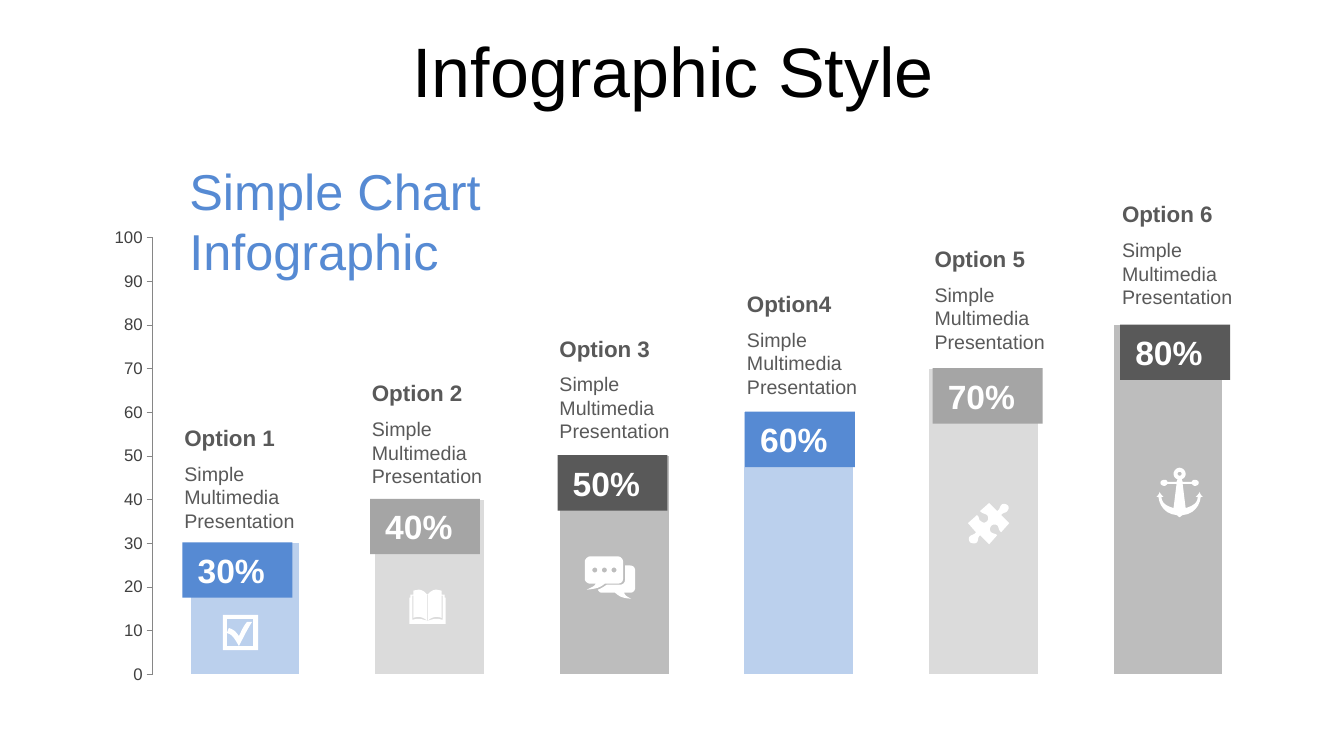
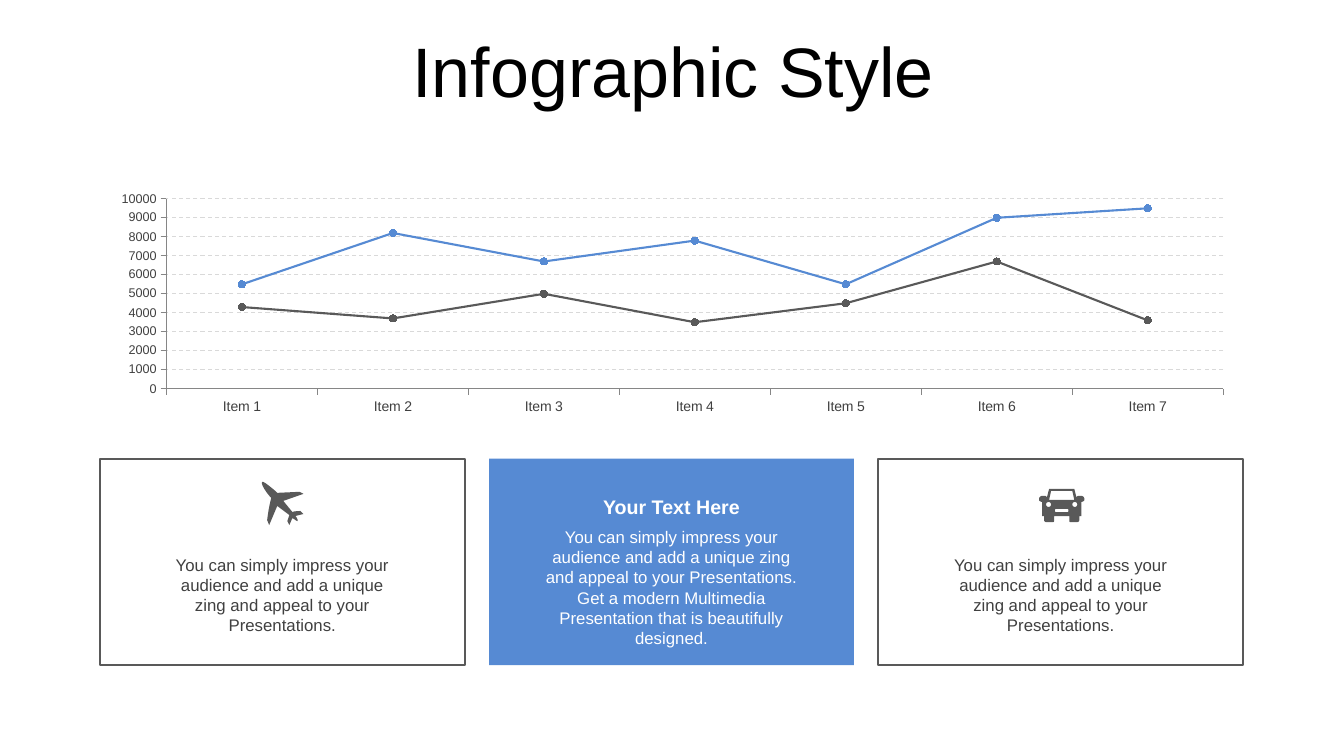
import math

import pptx
import pptx.chart.data
import pptx.dml.color
import pptx.enum.chart
import pptx.enum.dml
import pptx.enum.shapes
import pptx.enum.text
import pptx.util
from lxml import etree

RGB = pptx.dml.color.RGBColor
Inches, Pt = pptx.util.Inches, pptx.util.Pt
ALIGN = pptx.enum.text.PP_ALIGN
ANCHOR = pptx.enum.text.MSO_ANCHOR
CHART = pptx.enum.chart.XL_CHART_TYPE
TICK = pptx.enum.chart.XL_TICK_MARK

FONT = "Arial"
BLACK, WHITE = RGB(0, 0, 0), RGB(255, 255, 255)
BLUE, GREY, DARK = RGB(0x56, 0x8A, 0xD3), RGB(0xA5, 0xA5, 0xA5), RGB(0x59, 0x59, 0x59)
PALE_BLUE, PALE_GREY, MID_GREY = RGB(0xBB, 0xD0, 0xED), RGB(0xDB, 0xDB, 0xDB), RGB(0xBD, 0xBD, 0xBD)
INK, AXIS, GRID = RGB(0x40, 0x40, 0x40), RGB(0x86, 0x86, 0x86), RGB(0xD9, 0xD9, 0xD9)

TITLE = "Infographic Style"
SUBTITLE = ["Simple Chart", "Infographic"]
OPTIONS = [("Option 1", 30), ("Option 2", 40), ("Option 3", 50),
           ("Option4", 60), ("Option 5", 70), ("Option 6", 80)]
OPTION_TEXT = "Simple Multimedia Presentation"
BADGE_COLORS = [BLUE, GREY, DARK]
BAR_COLORS = [PALE_BLUE, PALE_GREY, MID_GREY]

ITEMS = [f"Item {n}" for n in range(1, 8)]
TRENDS = [("Series 1", [4300, 3700, 5000, 3500, 4500, 6700, 3600], DARK),
          ("Series 2", [5500, 8200, 6700, 7800, 5500, 9000, 9500], BLUE)]
PITCH = "You can simply impress your audience and add a unique zing and appeal to your Presentations."
CARD_HEADING = "Your Text Here"
CARD_TEXT = PITCH + " Get a modern Multimedia Presentation that is beautifully designed."


def circle(x, y, radius, steps=16):
    return [(x + radius * math.cos(math.tau * k / steps),
             y + radius * math.sin(math.tau * k / steps)) for k in range(steps)]


def outline(*parts):
    """Points of a contour; a part is a line end (x, y) or a cubic curve of six numbers."""
    points = []
    for part in parts:
        if len(part) == 2:
            points.append(part)
            continue
        curve = [points[-1], part[0:2], part[2:4], part[4:6]]
        for t in (k / 6 for k in range(1, 7)):
            weights = ((1 - t) ** 3, 3 * t * (1 - t) ** 2, 3 * t * t * (1 - t), t ** 3)
            points.append(tuple(sum(w * p[axis] for w, p in zip(weights, curve)) for axis in (0, 1)))
    return points


def mirrored(*parts):
    """Contour whose right half is given, from the axis x = 0 back to it."""
    half = outline(*parts)
    return half + [(-x, y) for x, y in reversed(half)]


# Contours in hundredths of an inch; inner contours are holes.
CHECKBOX = [
    outline((0, 0), (35, 0), (35, 35), (0, 35)),
    outline((4, 4), (4, 31), (16, 31), (13, 26, 10, 19, 4, 18), (6, 13), (12, 15, 13, 17, 16, 21),
            (19, 15, 20, 12, 24, 7), (29, 7), (25, 13, 20, 23, 16, 31), (30, 31), (30, 4))]
BOOK = [
    mirrored((0, 5), (3, 2, 5, 0, 9, 0), (14, 1), (14, 5), (17, 5), (17, 8), (18, 8), (18, 34), (0, 34)),
    mirrored((0, 5), (0.4, 5), (0.4, 30.5), (5, 27, 9, 26, 14, 28), (14, 6), (15, 6), (15, 30),
             (9, 28, 6, 29, 0, 31))]
CHAT = [
    outline((40, 9), (45, 9), (48, 9, 50, 11, 50, 14), (50, 31), (50, 34, 48, 36, 45, 36), (39, 36),
            (40, 38, 40, 39, 46, 42), (36, 41, 35, 40, 30, 36), (17, 36), (15, 36, 14, 35, 13, 33),
            (16, 32, 19, 30, 22, 28), (35, 28), (38, 28, 40, 26, 40, 23)),
    outline((5, 0), (33, 0), (36, 0, 38, 3, 38, 5), (38, 22), (38, 25, 36, 27, 33, 27), (20, 27),
            (15, 31, 12, 32, 2, 33), (8, 30, 9, 30, 11, 27), (5, 27), (3, 27, 0, 25, 0, 22),
            (0, 5), (0, 3, 3, 0, 5, 0)),
    *(circle(x, 13.5, 2.5) for x in (10, 19.5, 29))]
PUZZLE = [
    outline((39, 2), (41, 3, 41, 6, 39, 8), (38, 10, 35, 9, 33, 12), (41, 20), (33, 29),
            (30, 27, 31, 24, 29, 22), (27, 21, 24, 21, 23, 23), (22, 24, 21, 27, 23, 29),
            (26, 31, 27, 30, 29, 32), (21, 41), (12, 32), (9, 35, 11, 36, 9, 39),
            (7, 41, 4, 40, 2, 39), (1, 37, 0, 35, 2, 33), (4, 31, 6, 32, 8, 29), (0, 20), (9, 12),
            (12, 14, 10, 17, 13, 18), (15, 20, 17, 20, 19, 18), (20, 17, 21, 14, 19, 12),
            (16, 10, 15, 11, 12, 8), (21, 0), (29, 8), (32, 6, 31, 5, 33, 2), (35, 0, 38, 1, 39, 2))]
ANCHOR_ICON = [
    mirrored((0, 0), (3, 0, 6, 3, 6, 6), (6, 8, 5, 10, 3, 11), (2, 11), (3, 14), (12, 14),
             (13, 12, 14, 12, 15, 12), (17, 12, 19, 13, 19, 15), (19, 17, 17, 18, 15, 18),
             (14, 18, 13, 17, 12, 16), (3, 16), (6, 40), (13, 38, 18, 35, 18, 29), (16, 29),
             (17, 28, 19, 26, 20, 24), (20, 26, 22, 28, 23, 29), (21, 29), (20, 38, 14, 46, 3, 47),
             (1, 48, 1, 49, 0, 49)),
    circle(0, 6, 2)]
PLANE = [
    outline((42, 32), (34, 34), (35, 35, 37, 38, 36, 39), (35, 39, 33, 37, 31, 36), (28, 43), (26, 39),
            (28, 33), (16, 24), (8, 43), (6, 38), (7, 30, 8, 24, 10, 16), (6, 12, -1, 2, 1, 0),
            (2, -1, 12, 7, 16, 11), (38, 10), (42, 12), (22, 19), (31, 30), (33, 29, 39, 29, 39, 29))]
CAR = [
    mirrored((0, 0), (12.5, 0), (14.5, 8), (15.5, 8, 15.5, 7, 16.5, 7), (19.5, 7),
             (20.5, 7, 22.5, 8, 22.5, 10), (22.5, 11), (22.5, 12, 20.5, 13, 19.5, 13), (19.5, 27),
             (17.5, 27), (17.5, 31), (17.5, 32, 16.5, 33, 15.5, 33), (8.5, 33),
             (7.5, 33, 7.5, 32, 7.5, 31), (7.5, 27), (0, 27)),
    mirrored((0, 2), (10.5, 2), (12.5, 11), (0, 11)),
    mirrored((0, 20), (6, 20), (7, 20, 7, 23, 6, 23), (0, 23)),
    circle(-13, 15.5, 2.5), circle(13, 15.5, 2.5)]

# Icon, x and y of its zero point in inches.
BAR_ICONS = [(CHECKBOX, 2.21, 6.1), (BOOK, 4.24, 5.85), (CHAT, 5.8, 5.52),
             (PUZZLE, 9.6, 4.99), (ANCHOR_ICON, 11.7, 4.64)]
CARD_ICONS = [(PLANE, 2.59, 4.78), (CAR, 10.53, 4.85)]


def write(frame, lines, align=ALIGN.LEFT, anchor=ANCHOR.TOP):
    """Fill a frame with lines of (text, size, colour, bold, space before)."""
    frame.word_wrap = True
    frame.vertical_anchor = anchor
    for n, (text, size, color, bold, space) in enumerate(lines):
        paragraph = frame.add_paragraph() if n else frame.paragraphs[0]
        paragraph.alignment = align
        if space:
            paragraph.space_before = Pt(space)
        run = paragraph.add_run()
        run.text = text
        run.font.name, run.font.size, run.font.bold = FONT, Pt(size), bold
        run.font.color.rgb = color


def add_titled_slide(deck):
    slide = deck.slides.add_slide(deck.slide_layouts[5])
    title = slide.shapes.title
    title.left, title.top, title.width, title.height = map(Inches, (0.35, 0.37, 12.66, 0.79))
    frame = title.text_frame
    frame.margin_left = frame.margin_right = frame.margin_top = Inches(0.1)
    frame.auto_size = pptx.enum.text.MSO_AUTO_SIZE.NONE
    write(frame, [(TITLE, 50, BLACK, False, 0)], ALIGN.CENTER, ANCHOR.MIDDLE)
    frame.paragraphs[0].line_spacing = 0.7
    return slide


def add_text(slide, box, lines, anchor=ANCHOR.TOP):
    write(slide.shapes.add_textbox(*map(Inches, box)).text_frame, lines, anchor=anchor)


def paint(shape, fill, line=None):
    shape.shadow.inherit = False
    shape.fill.solid()
    shape.fill.fore_color.rgb = fill
    if line is None:
        shape.line.fill.background()
    else:
        shape.line.color.rgb, shape.line.width = line, Pt(1.5)


def add_rectangle(slide, box, fill, line=None):
    shape = slide.shapes.add_shape(pptx.enum.shapes.MSO_SHAPE.RECTANGLE, *map(Inches, box))
    paint(shape, fill, line)
    return shape


def add_icons(slide, icons, color):
    fine = 100
    for contours, x, y in icons:
        builder = None
        for contour in contours:
            start, *rest = [(px * fine, py * fine) for px, py in contour]
            if builder is None:
                builder = slide.shapes.build_freeform(*start, scale=Inches(0.01) / fine)
            else:
                builder.move_to(*start)
            builder.add_line_segments(rest, close=True)
        paint(builder.convert_to_shape(Inches(x), Inches(y)), color)


def style_axis(axis, size):
    axis.major_tick_mark, axis.minor_tick_mark = TICK.OUTSIDE, TICK.NONE
    axis.format.line.color.rgb, axis.format.line.width = AXIS, Pt(0.75)
    axis.tick_labels.font.size = Pt(size)
    axis.tick_labels.font.color.rgb = INK


def add_chart(slide, kind, box, plot_share, categories, series, top, label_size):
    """Add a chart whose inner plot area takes the given shares (x, y, w, h) of its box."""
    data = pptx.chart.data.CategoryChartData(number_format="General")
    data.categories = categories
    for name, values in series:
        data.add_series(name, values)
    chart = slide.shapes.add_chart(kind, *map(Inches, box), data).chart
    chart.has_legend = chart.has_title = False
    chart.font.name, chart.font.size = FONT, Pt(18)
    chart.plots[0].vary_by_categories = False
    scale = chart.value_axis
    scale.minimum_scale, scale.maximum_scale, scale.major_unit = 0, top, top / 10
    scale.has_major_gridlines = False
    style_axis(scale, label_size)

    plot_area = chart.plots[0]._element.getparent()
    namespace = etree.QName(plot_area).namespace
    for old in plot_area.findall(f"{{{namespace}}}layout"):
        plot_area.remove(old)
    layout = etree.Element(f"{{{namespace}}}layout")
    manual = etree.SubElement(layout, f"{{{namespace}}}manualLayout")
    settings = [("layoutTarget", "inner"), ("xMode", "edge"), ("yMode", "edge"),
                *zip("xywh", map(str, plot_share))]
    for tag, value in settings:
        etree.SubElement(manual, f"{{{namespace}}}{tag}").set("val", value)
    plot_area.insert(0, layout)
    return chart


def build_bar_slide(deck):
    slide = add_titled_slide(deck)
    values = [value for _, value in OPTIONS]
    chart = add_chart(slide, CHART.COLUMN_CLUSTERED, (0.91, 2.18, 11.84, 4.7), (0.051, 0.038, 0.928, 0.922),
                      [str(n + 1) for n in range(len(OPTIONS))], [("Series 1", values)], 100, 12)
    chart.category_axis.visible = False
    chart.plots[0].gap_width = 70
    for n in range(len(values)):
        fill = chart.plots[0].series[0].points[n].format.fill
        fill.solid()
        fill.fore_color.rgb = BAR_COLORS[n % 3]

    add_icons(slide, BAR_ICONS, WHITE)
    for n, (heading, value) in enumerate(OPTIONS):
        left = 1.81 + 1.86 * n
        add_text(slide, (left - 0.08, 4.16 - 0.444 * n, 1.31, 1.17),
                 [(heading, 16, DARK, True, 0), (OPTION_TEXT, 14, DARK, False, 7.5)])
        badge = add_rectangle(slide, (left, 5.38 - 0.432 * n, 1.09, 0.55), BADGE_COLORS[n % 3])
        badge.text_frame.margin_left = Inches(0.15)
        write(badge.text_frame, [(f"{value}%", 24, WHITE, True, 0)], anchor=ANCHOR.MIDDLE)
    add_text(slide, (1.78, 1.53, 3.39, 1.31),
             [(line, 36, BLUE, False, 0) for line in SUBTITLE], ANCHOR.MIDDLE)


def build_line_slide(deck):
    slide = add_titled_slide(deck)
    chart = add_chart(slide, CHART.LINE_MARKERS, (0.98, 1.86, 11.38, 2.31), (0.059, 0.049, 0.921, 0.816),
                      ITEMS, [trend[:2] for trend in TRENDS], 10000, 9)
    style_axis(chart.category_axis, 10)
    chart.value_axis.has_major_gridlines = True
    grid = chart.value_axis.major_gridlines.format.line
    grid.color.rgb, grid.width = GRID, Pt(0.75)
    grid.dash_style = pptx.enum.dml.MSO_LINE.DASH
    for series, (_, _, color) in zip(chart.plots[0].series, TRENDS):
        series.smooth = False
        series.format.line.color.rgb, series.format.line.width = color, Pt(1.5)
        series.marker.style, series.marker.size = pptx.enum.chart.XL_MARKER_STYLE.CIRCLE, 5
        series.marker.format.fill.solid()
        series.marker.format.fill.fore_color.rgb = color
        series.marker.format.line.color.rgb = color

    side = (WHITE, DARK, 0.71, 0.95, [(PITCH, 12, INK, False, 0)])
    middle = (BLUE, None, 0.47, 0.36, [(CARD_HEADING, 14, WHITE, True, 0), (CARD_TEXT, 12, WHITE, False, 6)])
    for n, (fill, line, margin, top, lines) in enumerate([side, middle, side]):
        card = add_rectangle(slide, (0.99 + 3.86 * n, 4.55, 3.62, 2.05), fill, line)
        frame = card.text_frame
        frame.margin_left = frame.margin_right = Inches(margin)
        frame.margin_top = Inches(top)
        write(frame, lines, ALIGN.CENTER)
    add_icons(slide, CARD_ICONS, DARK)


def main():
    deck = pptx.Presentation()
    deck.slide_width, deck.slide_height = Inches(13.33), Inches(7.5)
    build_bar_slide(deck)
    build_line_slide(deck)
    deck.save("out.pptx")


if __name__ == "__main__":
    main()
